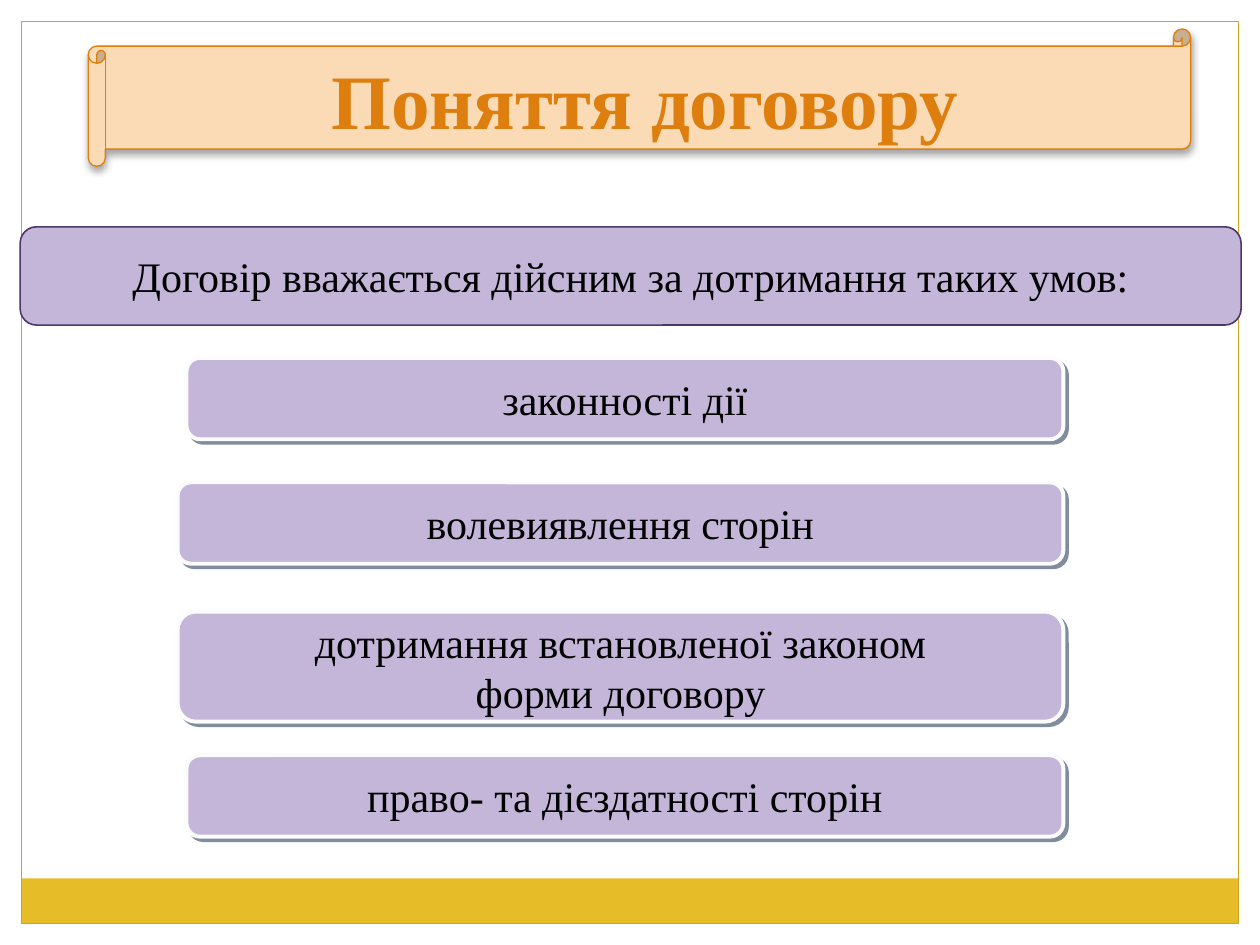
from dataclasses import dataclass

from lxml.etree import SubElement
from pptx import Presentation
from pptx.dml.color import RGBColor
from pptx.enum.shapes import MSO_SHAPE as Shape
from pptx.enum.text import MSO_ANCHOR as Anchor, PP_ALIGN as Align
from pptx.oxml.ns import qn
from pptx.util import Inches, Pt

COLORS = {
    "gold": "E7BC29",
    "frame": "CCA624",
    "peach": "FADBB5",
    "orange": "DD7E0E",
    "lilac": "C4B6D9",
    "violet": "4C376B",
    "rim": "FCFCFC",
    "text": "000000",
    "soft_shadow": "000000",
    "blue_shadow": "001D3A",
}
WIDTH, HEIGHT = Inches(10), Inches(7.5)
COLUMNS, ROWS = 100, 75
FONT = "Times New Roman"


@dataclass
class Box:
    left: float
    top: float
    width: float
    height: float

    def inner(self, left, top, width, height):
        return Box(self.left + left * self.width, self.top + top * self.height,
                   self.width * width, self.height * height)

    def lengths(self):
        column, row = WIDTH / COLUMNS, HEIGHT / ROWS
        return [int(n) for n in (self.left * column, self.top * row,
                                 self.width * column, self.height * row)]


def color(name):
    return RGBColor.from_string(COLORS[name])


def add_panel(slide, box, kind, fill=None, line=None, weight=0.75):
    panel = slide.shapes.add_shape(kind, *box.lengths())
    panel.shadow.inherit = False
    if fill:
        panel.fill.solid()
        panel.fill.fore_color.rgb = color(fill)
    else:
        panel.fill.background()
    if line:
        panel.line.color.rgb = color(line)
        panel.line.width = Pt(weight)
    else:
        panel.line.fill.background()
    return panel


def cast_shadow(panel, name, opacity, blur, distance, angle):
    effects = panel._element.spPr.find(qn("a:effectLst"))
    shadow = SubElement(effects, qn("a:outerShdw"), blurRad=str(Pt(blur)),
                        dist=str(Pt(distance)), dir=str(angle * 60000),
                        algn="ctr", rotWithShape="0")
    tint = SubElement(shadow, qn("a:srgbClr"), val=COLORS[name])
    SubElement(tint, qn("a:alpha"), val=str(opacity * 1000))


def write(frame, text, size=24, ink="text", bold=False, wrap=True):
    frame.word_wrap = wrap
    frame.vertical_anchor = Anchor.MIDDLE
    frame.text = text
    for paragraph in frame.paragraphs:
        paragraph.alignment = Align.CENTER
        font = paragraph.font
        font.name, font.size, font.bold = FONT, Pt(size), bold
        font.color.rgb = color(ink)


def add_frame(slide, box):
    add_panel(slide, box.inner(0, 0.95, 1, 0.05), Shape.RECTANGLE, "gold")
    add_panel(slide, box, Shape.RECTANGLE, line="frame")


def add_banner(slide, box, text):
    scroll = add_panel(slide, box, Shape.HORIZONTAL_SCROLL, "peach", "orange")
    cast_shadow(scroll, "soft_shadow", 35, 4, 2, 90)
    title = slide.shapes.title
    (title.left, title.top,
     title.width, title.height) = box.inner(0.02, 0.13, 0.97, 0.75).lengths()
    write(title.text_frame, text, size=44, ink="orange", bold=True)
    slide.shapes._spTree.append(title._element)


def add_heading(slide, box, text):
    heading = add_panel(slide, box, Shape.ROUNDED_RECTANGLE,
                        "lilac", "violet", 0.9)
    write(heading.text_frame, text)


def add_conditions(slide, box, conditions):
    for text, left, top, height in conditions:
        place = box.inner(left, top, 1 - left, height)
        condition = add_panel(slide, place, Shape.ROUNDED_RECTANGLE,
                              "lilac", "rim", 2.25)
        cast_shadow(condition, "blue_shadow", 50, 0, 2.8, 45)
        write(condition.text_frame, text, wrap=False)


def main():
    deck = Presentation()
    deck.slide_width, deck.slide_height = WIDTH, HEIGHT
    slide = deck.slides.add_slide(deck.slide_layouts[5])
    add_frame(slide, Box(1.7, 1.7, 96.6, 71.6))
    add_banner(slide, Box(7, 2.3, 87.5, 10.9), "Поняття договору")
    add_heading(slide, Box(1.6, 18, 96.9, 7.8),
                "Договір вважається дійсним за дотримання таких умов:")
    add_conditions(slide, Box(14.1, 28.4, 70.3, 38), [
        ("законності дії", 0.01, 0, 0.17),
        ("волевиявлення сторін", 0, 0.26, 0.17),
        ("дотримання встановленої законом\nформи договору", 0, 0.53, 0.23),
        ("право- та дієздатності сторін", 0.01, 0.83, 0.17),
    ])
    deck.save("out.pptx")


if __name__ == "__main__":
    main()
